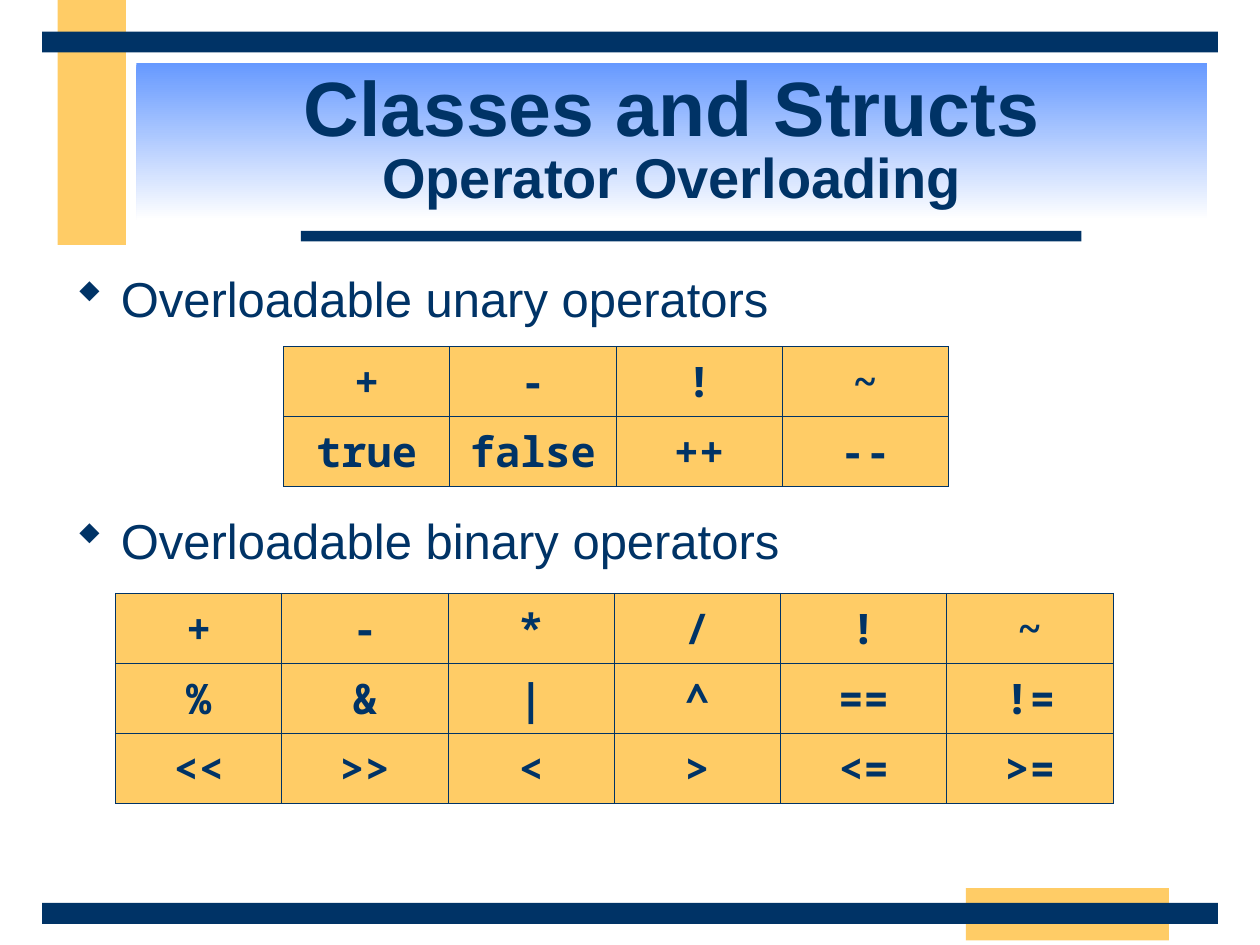
from dataclasses import dataclass

from lxml.etree import SubElement
from pptx import Presentation
from pptx.dml.color import RGBColor
from pptx.enum.shapes import MSO_SHAPE
from pptx.enum.text import MSO_ANCHOR, PP_ALIGN
from pptx.oxml import parse_xml
from pptx.oxml.ns import nsdecls, qn
from pptx.util import Pt


@dataclass(frozen=True)
class Theme:
    navy: str = "003366"
    gold: str = "FFCC66"
    blue: str = "6699FF"
    white: str = "FFFFFF"
    sans: str = "Arial"
    mono: str = "Noto Sans Mono"
    symbol: str = "Wingdings"
    diamond: str = "w"  # the diamond's place in the symbol font
    title: int = 44
    subtitle: int = 32
    body: int = 28
    code: int = 24
    border: float = 0.45
    indent: int = 26


THEME = Theme()
UNARY = [["+", "-", "!", "~"], ["true", "false", "++", "--"]]
BINARY = [
    ["+", "-", "*", "/", "!", "~"],
    ["%", "&", "|", "^", "==", "!="],
    ["<<", ">>", "<", ">", "<=", ">="],
]
COLUMN_WIDTH, ROW_HEIGHT = 95, 40


def points(box):
    return [Pt(length) for length in box]


def write(paragraph, text, *, size, font=THEME.sans, color=THEME.navy, bold=False, align=None):
    if align is not None:
        paragraph.alignment = align
    run = paragraph.add_run()
    run.text = text
    run.font.name = font
    run.font.size = Pt(size)
    run.font.bold = bold
    run.font.color.rgb = RGBColor.from_string(color)


def add_bar(slide, box, color):
    bar = slide.shapes.add_shape(MSO_SHAPE.RECTANGLE, *points(box))
    bar.shadow.inherit = False
    bar.line.fill.background()
    bar.fill.solid()
    bar.fill.fore_color.rgb = RGBColor.from_string(color)
    return bar


def add_frame(slide, box):
    left, top, width, height = box
    right, bottom = left + width, top + height
    # Gold accents lie behind the navy rules
    add_bar(slide, (left + 33, top, 39, 140), THEME.gold)
    add_bar(slide, (right - 168, bottom - 32.5, 116, 30), THEME.gold)
    add_bar(slide, (left + 172, top + 132, 446, 6), THEME.navy)
    for rule_top in (bottom - 24, top + 18):
        add_bar(slide, (left + 24, rule_top, width - 48, 12), THEME.navy)


def add_title(slide, box, title, subtitle):
    banner = add_bar(slide, box, THEME.white)
    banner.fill.gradient()
    banner.fill.gradient_angle = 270
    for stop, position, color in zip(banner.fill.gradient_stops, (0, 1), (THEME.blue, THEME.white)):
        stop.position = position
        stop.color.rgb = RGBColor.from_string(color)
    frame = banner.text_frame
    frame.word_wrap = True
    frame.vertical_anchor = MSO_ANCHOR.MIDDLE
    paragraph = frame.paragraphs[0]
    paragraph.line_spacing = 0.85
    write(paragraph, title, size=THEME.title, bold=True, align=PP_ALIGN.CENTER)
    paragraph.add_line_break()
    write(paragraph, subtitle, size=THEME.subtitle, bold=True)


def add_bullet(slide, box, text):
    frame = slide.shapes.add_textbox(*points(box)).text_frame
    frame.word_wrap = True
    paragraph = frame.paragraphs[0]
    properties = paragraph._p.get_or_add_pPr()
    properties.set("marL", str(Pt(THEME.indent)))
    properties.set("indent", str(-Pt(THEME.indent)))
    color = SubElement(properties, qn("a:buClr"))
    SubElement(color, qn("a:srgbClr"), val=THEME.navy)
    SubElement(properties, qn("a:buFont"), typeface=THEME.symbol, pitchFamily="2", charset="2")
    SubElement(properties, qn("a:buChar"), char=THEME.diamond)
    write(paragraph, text, size=THEME.body)


def set_borders(cell):
    properties = cell._tc.get_or_add_tcPr()
    for index, side in enumerate("LRTB"):
        properties.insert(index, parse_xml(
            f'<a:ln{side} {nsdecls("a")} w="{Pt(THEME.border)}"><a:solidFill>'
            f'<a:srgbClr val="{THEME.navy}"/></a:solidFill></a:ln{side}>'))


def add_operators(slide, left, top, operators):
    rows, columns = len(operators), len(operators[0])
    box = (left, top, columns * COLUMN_WIDTH, rows * ROW_HEIGHT)
    table = slide.shapes.add_table(rows, columns, *points(box)).table
    table.first_row = table.horz_banding = False
    for cell, operator in zip(table.iter_cells(), sum(operators, [])):
        cell.fill.solid()
        cell.fill.fore_color.rgb = RGBColor.from_string(THEME.gold)
        cell.vertical_anchor = MSO_ANCHOR.MIDDLE
        set_borders(cell)
        write(cell.text_frame.paragraphs[0], operator, size=THEME.code,
              font=THEME.mono, bold=True, align=PP_ALIGN.CENTER)


def main():
    presentation = Presentation()
    presentation.slide_width, presentation.slide_height = Pt(720), Pt(540)
    slide = presentation.slides.add_slide(presentation.slide_layouts[6])

    # Frame and heading
    add_frame(slide, (0, 0, 720, 540))
    add_title(slide, (78, 36, 612, 90), "Classes and Structs", "Operator Overloading")

    # Unary operators
    add_operators(slide, 162, 198, UNARY)
    add_bullet(slide, (36, 150, 648, 54), "Overloadable unary operators")

    # Binary operators
    add_bullet(slide, (36, 288, 666, 144), "Overloadable binary operators")
    add_operators(slide, 66, 339, BINARY)

    presentation.save("out.pptx")


if __name__ == "__main__":
    main()
